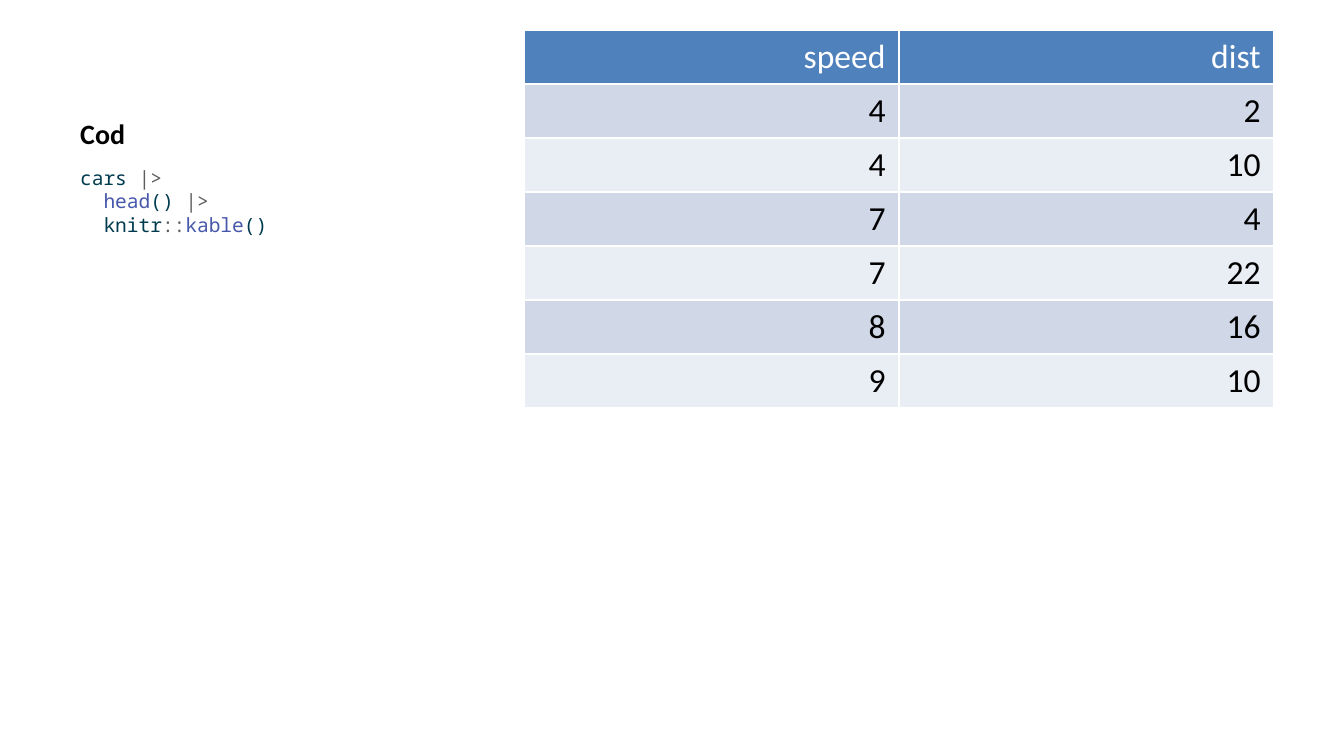
"""Build a slide with an R snippet beside the table that it prints."""
from dataclasses import dataclass

from lxml import etree
from pptx import Presentation
from pptx import util as u
from pptx.dml.color import RGBColor
from pptx.enum import text
from pptx.oxml.ns import qn

TITLE = "Cod"
CODE = [
    [("cars ", "name"), ("|>", "operator")],
    [("  ", "operator"), ("head", "function"), ("() ", "name"), ("|>", "operator")],
    [("  knitr", "name"), ("::", "operator"), ("kable", "function"), ("()", "name")],
]
CARS = [
    ("speed", "dist"),
    (4, 2),
    (4, 10),
    (7, 4),
    (7, 22),
    (8, 16),
    (9, 10),
]


@dataclass(frozen=True)
class Theme:
    body_font: str = "Calibri"
    code_font: str = "Noto Sans Mono"
    title_size: float = 15
    code_size: float = 10.5
    code_leading: float = 12.6
    table_size: float = 18
    border_width: float = 1
    ink: str = "000000"
    white: str = "FFFFFF"
    header: str = "4F81BD"
    bands: tuple = ("D0D8E8", "E9EDF4")
    name: str = "003B4F"
    operator: str = "5E5E5E"
    function: str = "4758AB"


THEME = Theme()
SLIDE_W, SLIDE_H = 1344, 756
LEFT, TOP, TEXT_W = 67, 30, 442
TITLE_H, CODE_H = 127, 517
TABLE_LEFT, COLUMN_W, ROW_H = 524, 375, 54


def px(length):
    return u.Emu(round(length * 914400 / 134.4))


def add_run(paragraph, words, font, size, color, bold=False):
    run = paragraph.add_run()
    run.text = words
    run.font.name = font
    run.font.size = u.Pt(size)
    run.font.bold = bold
    run.font.color.rgb = RGBColor.from_string(color)


def add_text_frame(slide, top, height, anchor):
    frame = slide.shapes.add_textbox(px(LEFT), px(top), px(TEXT_W), px(height)).text_frame
    frame.word_wrap = True
    frame.vertical_anchor = anchor
    return frame


def add_borders(cell):
    properties = cell._tc.get_or_add_tcPr()
    for position, side in enumerate(("lnL", "lnR", "lnT", "lnB")):
        line = etree.Element(qn(f"a:{side}"), w=str(u.Pt(THEME.border_width)))
        fill = etree.SubElement(line, qn("a:solidFill"))
        etree.SubElement(fill, qn("a:srgbClr"), val=THEME.white)
        properties.insert(position, line)


def add_title(slide):
    frame = add_text_frame(slide, TOP, TITLE_H, text.MSO_ANCHOR.BOTTOM)
    add_run(frame.paragraphs[0], TITLE, THEME.body_font, THEME.title_size, THEME.ink, bold=True)


def add_code(slide):
    frame = add_text_frame(slide, TOP + TITLE_H + 2, CODE_H, text.MSO_ANCHOR.TOP)
    snippet = frame.paragraphs[0]
    snippet.line_spacing = u.Pt(THEME.code_leading)
    for number, tokens in enumerate(CODE):
        if number:
            snippet.add_line_break()
        for words, role in tokens:
            add_run(snippet, words, THEME.code_font, THEME.code_size, getattr(THEME, role))


def add_cars_table(slide):
    rows, columns = len(CARS), len(CARS[0])
    table = slide.shapes.add_table(
        rows, columns, px(TABLE_LEFT), px(TOP), px(columns * COLUMN_W), px(rows * ROW_H)
    ).table
    for r, record in enumerate(CARS):
        fill = THEME.bands[(r - 1) % 2] if r else THEME.header
        color = THEME.ink if r else THEME.white
        for c, value in enumerate(record):
            cell = table.cell(r, c)
            cell.fill.solid()
            cell.fill.fore_color.rgb = RGBColor.from_string(fill)
            add_borders(cell)
            paragraph = cell.text_frame.paragraphs[0]
            paragraph.alignment = text.PP_ALIGN.RIGHT
            add_run(paragraph, str(value), THEME.body_font, THEME.table_size, color)


def main():
    deck = Presentation()
    deck.slide_width, deck.slide_height = px(SLIDE_W), px(SLIDE_H)
    slide = deck.slides.add_slide(deck.slide_layouts[6])
    add_title(slide)
    add_code(slide)
    add_cars_table(slide)
    deck.save("out.pptx")


if __name__ == "__main__":
    main()
